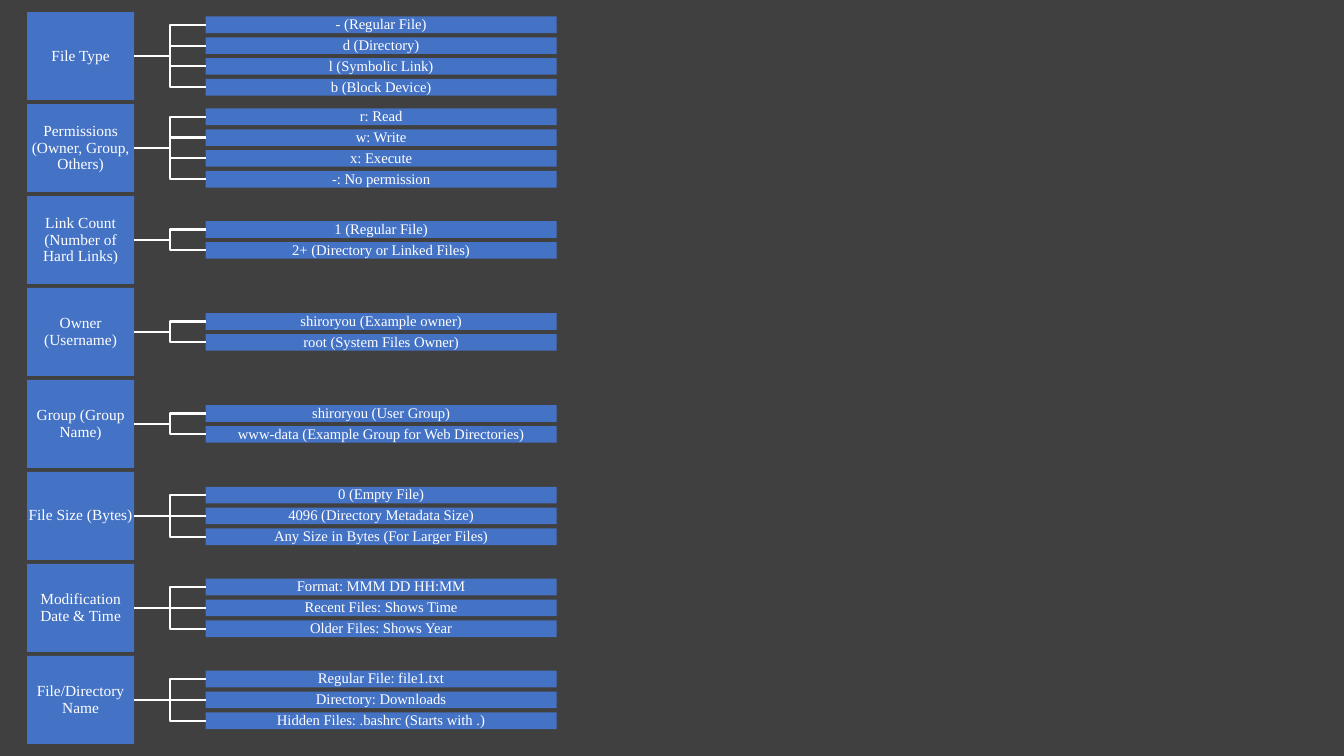
from pptx import Presentation
from pptx.dml.color import RGBColor
from pptx.enum.shapes import MSO_CONNECTOR, MSO_SHAPE
from pptx.enum.text import MSO_ANCHOR, PP_ALIGN
from pptx.oxml.ns import qn
from pptx.util import Inches, Pt
from lxml import etree

RECT = MSO_SHAPE.RECTANGLE
ELBOW = MSO_CONNECTOR.ELBOW
LINE = MSO_CONNECTOR.STRAIGHT
MIDDLE = MSO_ANCHOR.MIDDLE
CENTER = PP_ALIGN.CENTER

FONT = "Times New Roman"
HEX = {"back": "404040", "box": "4472C4", "text": "FFFFFF", "link": "FFFFFF"}

FIELDS = [
    ("File Type",
     ["- (Regular File)", "d (Directory)", "l (Symbolic Link)", "b (Block Device)"]),
    ("Permissions (Owner, Group, Others)",
     ["r: Read", "w: Write", "x: Execute", "-: No permission"]),
    ("Link Count (Number of Hard Links)",
     ["1 (Regular File)", "2+ (Directory or Linked Files)"]),
    ("Owner (Username)",
     ["shiroryou (Example owner)", "root (System Files Owner)"]),
    ("Group (Group Name)",
     ["shiroryou (User Group)", "www-data (Example Group for Web Directories)"]),
    ("File Size (Bytes)",
     ["0 (Empty File)", "4096 (Directory Metadata Size)",
      "Any Size in Bytes (For Larger Files)"]),
    ("Modification Date & Time",
     ["Format: MMM DD HH:MM", "Recent Files: Shows Time", "Older Files: Shows Year"]),
    ("File/Directory Name",
     ["Regular File: file1.txt", "Directory: Downloads",
      "Hidden Files: .bashrc (Starts with .)"]),
]

HEAD_W = 1.06
LEAF_W = 3.48
PITCH = 0.62 / 3
LEAF_H = PITCH * 0.8
GAP = 0.04


def color(name):
    return RGBColor.from_string(HEX[name])


def add_box(slide, left, top, width, height, text, size):
    box = slide.shapes.add_shape(
        RECT, Inches(left), Inches(top), Inches(width), Inches(height))
    box.shadow.inherit = False
    box.fill.solid()
    box.fill.fore_color.rgb = color("box")
    box.line.fill.background()
    frame = box.text_frame
    frame.margin_left = frame.margin_right = 0
    frame.margin_top = frame.margin_bottom = 0
    frame.word_wrap = True
    frame.vertical_anchor = MIDDLE
    frame.text = text
    para = frame.paragraphs[0]
    para.alignment = CENTER
    para.line_spacing = 0.9
    font = para.runs[0].font
    font.name = FONT
    font.size = Pt(size)
    font.color.rgb = color("text")
    return box


def add_link(slide, head, leaf, kind):
    link = slide.shapes.add_connector(kind, 0, 0, 0, 0)
    link.begin_connect(head, 3)
    link.end_connect(leaf, 1)
    link.line.color.rgb = color("link")
    link.line.width = Pt(1.5)
    etree.SubElement(link._element.spPr, qn("a:effectLst"))


def add_field(slide, left, top, width, height, name, items):
    head = add_box(slide, left, top, HEAD_W, height, name, 11)
    mid = top + height / 2
    for i, item in enumerate(items):
        shift = i - (len(items) - 1) / 2
        leaf = add_box(slide, left + width - LEAF_W, mid + shift * PITCH - LEAF_H / 2,
                       LEAF_W, LEAF_H, item, 10.5)
        add_link(slide, head, leaf, ELBOW if shift else LINE)


def add_tree(slide, left, top, width, height):
    step = (height + GAP) / len(FIELDS)
    for i, (name, items) in enumerate(FIELDS):
        add_field(slide, left, top + i * step, width, step - GAP, name, items)


def main():
    deck = Presentation()
    deck.slide_width = Inches(13.33)
    deck.slide_height = Inches(7.5)
    slide = deck.slides.add_slide(deck.slide_layouts[6])
    fill = slide.background.fill
    fill.solid()
    fill.fore_color.rgb = color("back")
    add_tree(slide, 0.27, 0.12, 5.25, 7.26)
    deck.save("out.pptx")


if __name__ == "__main__":
    main()
